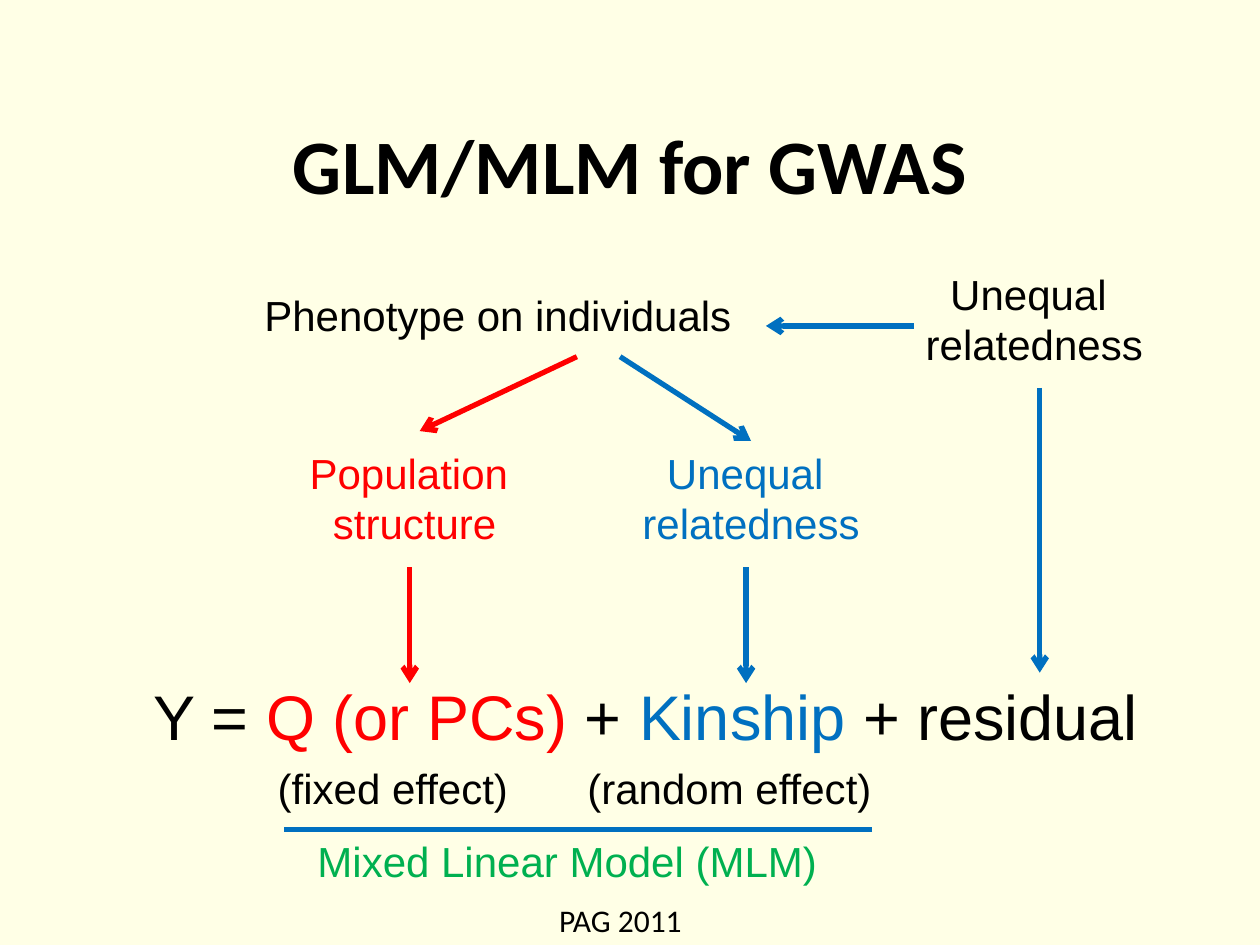
from lxml.etree import SubElement as Sub
from pptx import Presentation
from pptx.dml.color import RGBColor
from pptx.enum.shapes import MSO_CONNECTOR as Link
from pptx.enum.text import MSO_ANCHOR as Anchor, MSO_AUTO_SIZE as Auto, PP_ALIGN as Align
from pptx.oxml.ns import qn
from pptx.util import Cm, Pt

BLACK, RED, BLUE, GREEN = "000000", "FF0000", "0070C0", "00B050"


def tint(form, code):
    """Give a colour format the hex colour."""
    form.rgb = RGBColor.from_string(code)


def style(item, **vals):
    """Set each named attribute of an item."""
    for key, val in vals.items():
        setattr(item, key, val)


def place(box, x, y):
    """Turn a point within a box into slide lengths."""
    return Cm(box[0] + x), Cm(box[1] + y)


def fill(par, runs, size, face="Arial", bold=False):
    """Add coloured runs to a paragraph."""
    for text, code in runs:
        run = par.add_run()
        run.text = text
        style(run.font, size=Pt(size), name=face, bold=bold)
        tint(run.font.color, code)


def label(slide, box, area, lines, size=24, align=Align.CENTER, face="Arial", wrap=True):
    """Add a text box holding one list of runs per line."""
    x, y, wide, high = area
    frame = slide.shapes.add_textbox(*place(box, x, y), Cm(wide), Cm(high)).text_frame
    style(frame, word_wrap=wrap, auto_size=Auto.SHAPE_TO_FIT_TEXT)
    for num, runs in enumerate(lines):
        par = frame.add_paragraph() if num else frame.paragraphs[0]
        par.alignment = align
        fill(par, runs, size, face)


def stroke(slide, box, start, end, code, head=True):
    """Draw a straight line, with an arrowhead if wanted."""
    line = slide.shapes.add_connector(Link.STRAIGHT, *place(box, *start), *place(box, *end))
    line.line.width = Pt(3)
    tint(line.line.color, code)
    props = line._element.spPr
    if head:
        Sub(props.find(qn("a:ln")), qn("a:tailEnd"), type="arrow")
    Sub(props, qn("a:effectLst"))


def title(slide, box):
    """Format and fill the title placeholder."""
    shape = slide.shapes.title
    left, top, wide, high = map(Cm, box)
    style(shape, left=left, top=top, width=wide, height=high)
    shape.text_frame.vertical_anchor = Anchor.MIDDLE
    par = shape.text_frame.paragraphs[0]
    par.alignment = Align.CENTER
    fill(par, [("GLM/MLM for GWAS", BLACK)], 44, "Calibri", True)


def causes(slide, box):
    """Draw the phenotype, its causes and their arrows."""
    label(slide, box, (0, 0.44, 10.16, 1.27),
          [[("Phenotype on individuals", BLACK)]], align=Align.LEFT)
    for x, y, pair, code in (
        (0.64, 3.61, ("Population ", "structure"), RED),
        (7.42, 3.61, ("Unequal ", "relatedness"), BLUE),
        (13.13, 0, ("Unequal ", "relatedness"), BLACK),
    ):
        label(slide, box, (x, y, 5.28, 2.29), [[(text, code)] for text in pair])
    for start, end, code in (
        ((6.55, 1.91), (3.38, 3.41), RED),
        ((7.42, 1.91), (10.06, 3.61), BLUE),
        ((3.18, 6.15), (3.18, 8.49), RED),
        ((9.96, 6.15), (9.96, 8.49), BLUE),
        ((15.88, 2.54), (15.88, 8.28), BLUE),
        ((13.34, 1.29), (10.36, 1.29), BLUE),
    ):
        stroke(slide, box, start, end, code)


def model(slide, box):
    """Write the model equation and the notes under it."""
    label(slide, box, (0, 0, 20.96, 1.78),
          [[("Y = ", BLACK), ("Q (or PCs)", RED), (" + ", BLACK),
            ("Kinship", BLUE), (" + residual", BLACK)]], 36)
    label(slide, box, (2.74, 1.7, 5.28, 1.27), [[("(fixed effect)", BLACK)]])
    label(slide, box, (8.89, 1.7, 6.55, 1.27), [[("(random effect)", BLACK)]])
    label(slide, box, (3.61, 3.17, 11, 1.27),
          [[("Mixed Linear Model (MLM)", GREEN)]], align=Align.LEFT)
    stroke(slide, box, (15.04, 3.18), (3.18, 3.18), BLUE, head=False)


def foot(slide, box):
    """Write the meeting name at the foot."""
    label(slide, box, (0, 0, 3.02, 1.02), [[("PAG 2011", BLACK)]], 18,
          Align.LEFT, "Calibri", False)


def main():
    """Build and save the slide."""
    deck = Presentation()
    style(deck, slide_width=Cm(25.4), slide_height=Cm(19.05))
    slide = deck.slides.add_slide(deck.slide_layouts[5])
    back = slide.background.fill
    back.solid()
    tint(back.fore_color, "FFFFE6")
    foot(slide, (11.02, 18.03))
    title(slide, (1.91, 1.7, 21.59, 3.18))
    causes(slide, (5.08, 5.28))
    model(slide, (2.54, 13.54))
    deck.save("out.pptx")


if __name__ == "__main__":
    main()
